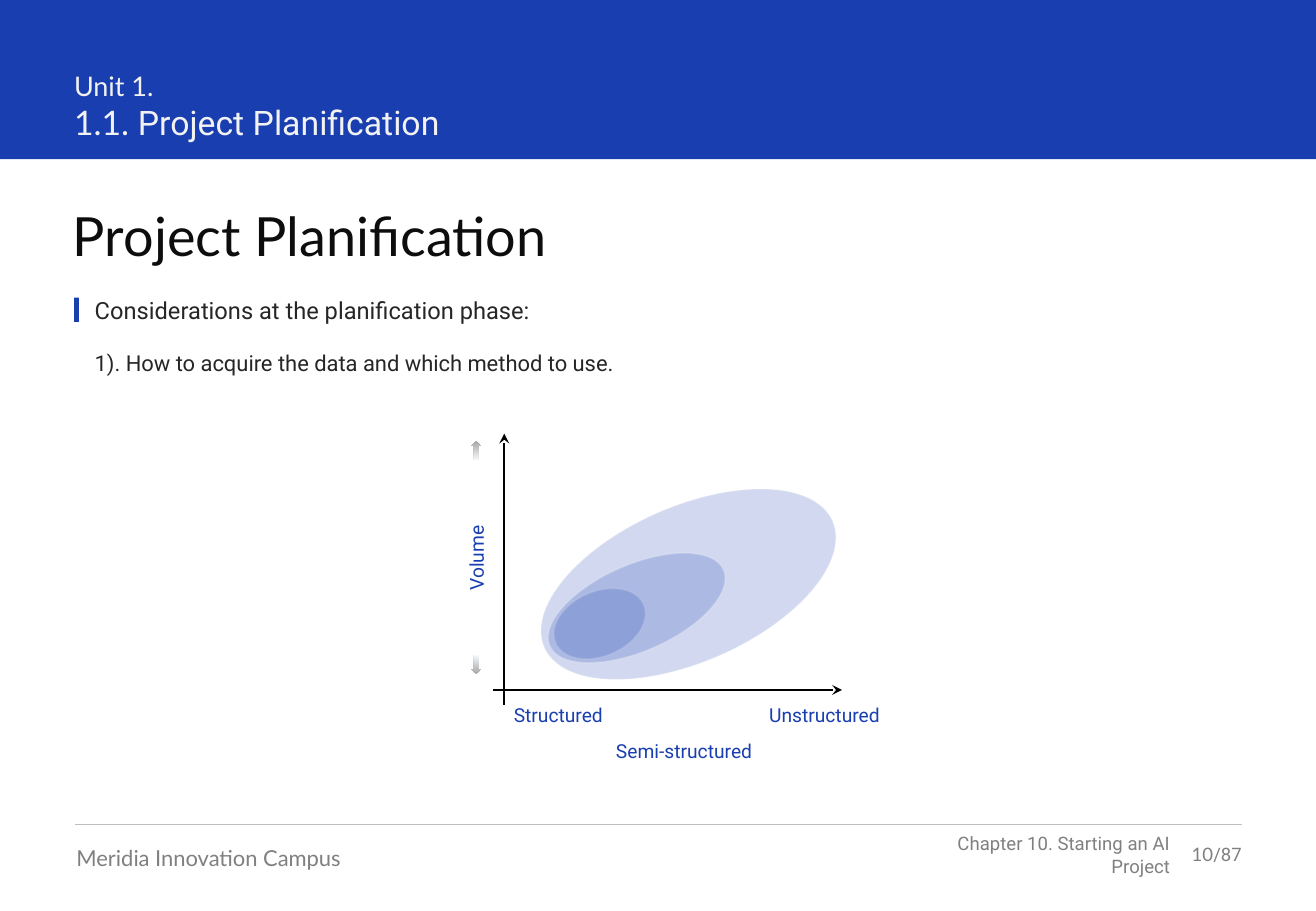
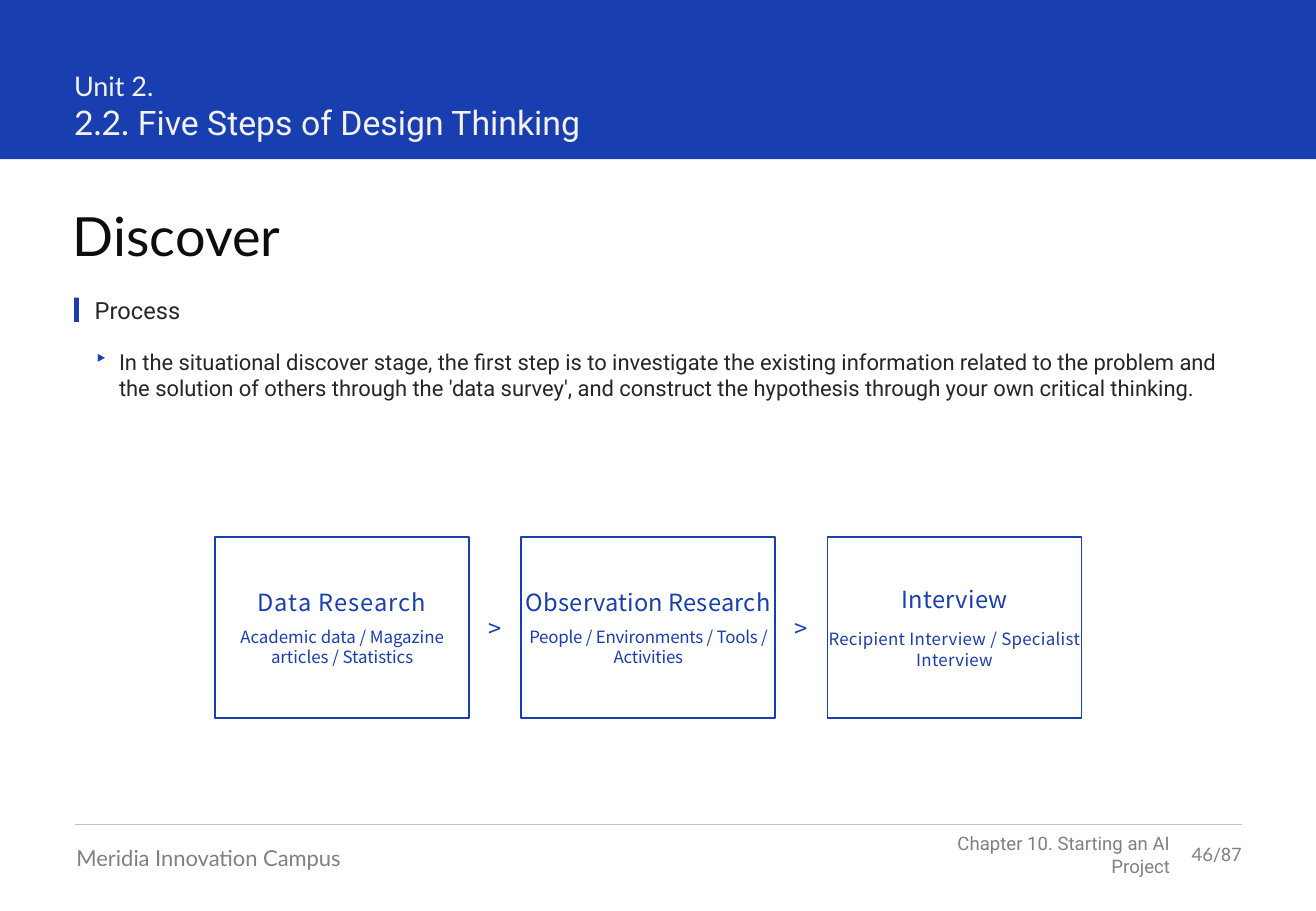
from lxml import etree
from pptx import Presentation
from pptx import util as u
from pptx.dml import color
from pptx.enum import shapes, text
from pptx.oxml import ns

PX = 9144
HUES = {"blue": "193EB0", "white": "FFFFFF", "pale": "F2F2F2", "ink": "0D0D0D",
        "body": "262626", "gray": "808080", "rule": "BFBFBF", "black": "000000",
        "mid": "A6A6A6", "fade": "F7FAFD"}
LATO, ROBO, NOTO = "Lato", "Roboto", "Noto Sans CJK KR"
LEFT, MID, RIGHT = text.PP_ALIGN.LEFT, text.PP_ALIGN.CENTER, text.PP_ALIGN.RIGHT
TOP, HALF = text.MSO_ANCHOR.TOP, text.MSO_ANCHOR.MIDDLE
KIND = shapes.MSO_SHAPE


def hue(name):
    return color.RGBColor.from_string(HUES[name])


def sub(node, tag, **attrs):
    return etree.SubElement(node, ns.qn(tag), attrs)


class Deck:
    """Holds the shared style and the slide being drawn."""

    def __init__(self):
        self.prs = Presentation()
        self.prs.slide_width, self.prs.slide_height = 1083 * PX, 750 * PX

    def page(self, unit, num, name, head, count):
        self.slide = self.prs.slides.add_slide(self.prs.slide_layouts[6])
        self.shape(KIND.RECTANGLE, (0, 0, 1083, 131), "blue")
        self.note((743, 694, 220, 19), "Chapter 10. Starting an AI Project", 11,
                  tint="gray", side=RIGHT, anchor=HALF)
        self.line((62, 679), (1022, 679), "rule", 0.5)
        self.note((63, 695, 316, 22), "Meridia Innovation Campus", 13, LATO, "gray")
        self.note((963, 694, 59, 19), [(count, 11, LATO), ("/87", 11, ROBO)],
                  tint="gray", side=RIGHT, anchor=HALF)
        self.note((61, 57, 637, 61),
                  [(unit + "\v", 16, LATO), (num + " ", 20, LATO), (name, 20, ROBO)],
                  tint="pale")
        self.note((60, 167, 962, 54), head, 32, LATO, "ink")

    def para(self, p, words, size=None, font=ROBO, tint="body", side=LEFT,
             before=None, after=None, track=0, mark=None):
        p.alignment = side
        if before:
            p.space_before = u.Pt(before)
        if after:
            p.space_after = u.Pt(after)
        if mark:
            props = p._p.get_or_add_pPr()
            props.set("marL", str(20 * PX))
            props.set("indent", str(-20 * PX))
            sub(sub(props, "a:buClr"), "a:srgbClr", val=HUES["blue"])
            sub(props, "a:buChar", char=mark)
        p.font.color.rgb = hue(tint)
        if isinstance(words, str):
            p.text = words
            p.font.size, p.font.name = u.Pt(size), font
        else:
            for part, pts, face in words:
                run = p.add_run()
                run.text = part.rstrip("\v")
                run.font.size, run.font.name = u.Pt(pts), face
                if part.endswith("\v"):
                    p.add_line_break()
        if track:
            for run in p.runs:
                run._r.get_or_add_rPr().set("spc", str(track))

    def frame(self, frame, pads, anchor):
        frame.word_wrap = True
        frame.vertical_anchor = anchor
        (frame.margin_left, frame.margin_top,
         frame.margin_right, frame.margin_bottom) = (n * PX for n in pads)
        return frame

    def note(self, at, words, size=None, font=ROBO, tint="body", side=LEFT,
             pads=(0, 0, 0, 0), anchor=TOP, turn=0, **style):
        box = self.slide.shapes.add_textbox(*(n * PX for n in at))
        box.rotation = turn
        frame = self.frame(box.text_frame, pads, anchor)
        frame.auto_size = text.MSO_AUTO_SIZE.SHAPE_TO_FIT_TEXT
        self.para(frame.paragraphs[0], words, size, font, tint, side, **style)

    def shape(self, kind, at, fill=None, edge=None, turn=0):
        item = self.slide.shapes.add_shape(kind, *(n * PX for n in at))
        item.shadow.inherit = False
        item.rotation = turn
        if fill:
            item.fill.solid()
            item.fill.fore_color.rgb = hue(fill)
        else:
            item.fill.background()
        if edge:
            item.line.color.rgb = hue(edge)
            item.line.width = u.Pt(1)
        else:
            item.line.fill.background()
        return item

    def line(self, start, end, tint="black", width=1, head=None):
        ends = (n * PX for n in start + end)
        rule = self.slide.shapes.add_connector(shapes.MSO_CONNECTOR.STRAIGHT, *ends)
        rule.line.color.rgb = hue(tint)
        rule.line.width = u.Pt(width)
        props = rule._element.spPr
        if head:
            sub(props.find(ns.qn("a:ln")), "a:tailEnd", type=head)
        sub(props, "a:effectLst")

    def oval(self, at):
        item = self.shape(KIND.OVAL, at, "blue", "white", 336.3)
        for tone in item._element.spPr.iter(ns.qn("a:srgbClr")):
            sub(tone, "a:alpha", val="20000")

    def arrow(self, at, turn=0):
        fill = self.shape(KIND.UP_ARROW, at, turn=turn).fill
        fill.gradient()
        fill.gradient_angle = 270
        for stop, tint, spot in zip(fill.gradient_stops, ("mid", "fade"), (0, 1)):
            stop.color.rgb = hue(tint)
            stop.position = spot

    def label(self, at, words, turn=0):
        self.note(at, words, 11.4, tint="blue", side=MID, pads=(10, 5, 10, 5), turn=turn)

    def topic(self, words):
        self.shape(KIND.RECTANGLE, (61, 245, 4, 20), "blue")
        self.note((78, 244, 944, 24), words, 14, after=6)

    def point(self, at, words, mark=None):
        self.note(at, words, 13, pads=(0, 8, 16, 8), after=8, mark=mark)

    def card(self, at, head, words, tracks, gap):
        item = self.shape(KIND.RECTANGLE, at, edge="blue")
        frame = self.frame(item.text_frame, (0, 0, 0, 0), HALF)
        self.para(frame.paragraphs[0], head, 14, NOTO, "blue", MID, track=tracks[0])
        self.para(frame.add_paragraph(), words, 10, NOTO, "blue", MID, gap, track=tracks[1])


def main():
    deck = Deck()

    deck.page("Unit 1.", "1.1.", "Project Planification", "Project Planification", "10")
    deck.oval((437, 417, 259, 128))
    deck.line((406, 568), (693, 568), head="stealth")
    deck.line((415, 580), (415, 357), head="stealth")
    deck.label((402, 574, 115, 29), "Structured")
    deck.label((621, 574, 115, 29), "Unstructured")
    deck.label((493, 604, 140, 29), "Semi-structured")
    deck.label((315, 445, 154, 29), "Volume", 270)
    deck.arrow((388, 363, 8, 16))
    deck.arrow((388, 539, 8, 16), 180)
    deck.oval((454, 487, 79, 53))
    deck.oval((446, 465, 156, 71))
    deck.topic("Considerations at the planification phase:")
    deck.point((78, 280, 944, 38), "1). How to acquire the data and which method to use.")

    deck.page("Unit 2.", "2.2.", "Five Steps of Design Thinking", "Discover", "46")
    deck.topic("Process")
    deck.point((78, 279, 944, 82),
               "In the situational discover stage, the first step is to investigate the "
               "existing information related to the problem and the solution of others "
               "through the 'data survey', and construct the hypothesis through your own "
               "critical thinking.", "‣")
    steps = [
        ("Data Research", "Academic data / Magazine articles / Statistics", (60, 0), 6.5),
        ("Observation Research", "People / Environments / Tools / Activities", (10, -10), 6.5),
        ("Interview", "Recipient Interview / Specialist Interview", (20, 20), 9.1),
    ]
    for i, step in enumerate(steps):
        left = 177 + 252 * i
        deck.card((left, 442, 209, 149), *step)
        if i:
            deck.note((left - 27, 504, 12, 25), ">", 14, NOTO, "blue",
                      pads=(0, 1, 0, 0), track=-20)

    deck.prs.save("out.pptx")


if __name__ == "__main__":
    main()
